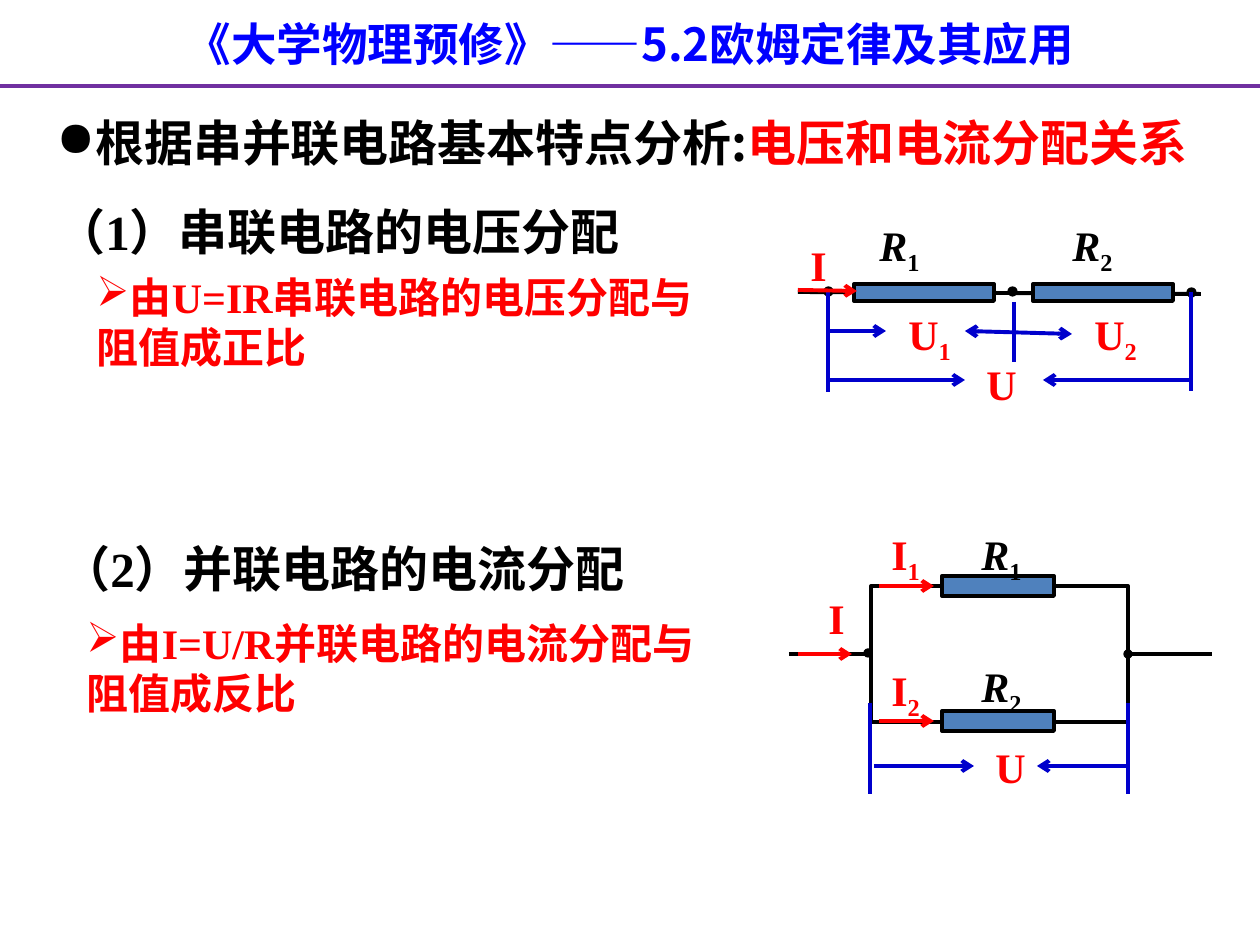
from lxml.etree import SubElement
from pptx import Presentation
from pptx.dml.color import RGBColor
from pptx.enum.shapes import MSO_CONNECTOR, MSO_SHAPE
from pptx.enum.text import PP_ALIGN
from pptx.oxml.ns import qn
from pptx.util import Pt

PX = 914400 // 126
BLACK = RGBColor(0, 0, 0)
RED = RGBColor(0xFF, 0, 0)
BLUE = RGBColor(0, 0, 0xFF)
NAVY = RGBColor(0, 0, 0xCC)
PURPLE = RGBColor(0x70, 0x30, 0xA0)
STEEL = RGBColor(0x4F, 0x81, 0xBD)
SANS, SERIF = "Noto Sans CJK SC", "Times New Roman"

TITLE = ((0, 10, 1260, 68), [("《大学物理预修》——5.2欧姆定律及其应用", BLUE)], 26, SANS)
# box, runs, size, font, bullet
BODY = [
    ((44, 195, 804, 72), [("（1）串联电路的电压分配", BLACK)], 28, SERIF, None),
    ((84, 265, 625, 115), [("由U=IR串联电路的电压分配与阻值成正比", RED)], 24, SERIF, "➢"),
    ((49, 532, 650, 72), [("（2）并联电路的电流分配", BLACK)], 28, SERIF, None),
    ((74, 611, 668, 115), [("由I=U/R并联电路的电流分配与阻值成反比", RED)], 24, SERIF, "➢"),
    ((44, 106, 1216, 72),
     [("根据串并联电路基本特点分析:", BLACK), ("电压和电流分配关系", RED)], 28, SANS, "●"),
]
SERIES = {
    "wires": [(798, 292, 1201, 294)],
    "resistors": [(854, 284, 140, 17), (1033, 284, 140, 17)],
    "nodes": [(824, 287, 9, 9), (1008, 287, 9, 9), (1187, 288, 9, 9)],
    "limits": [(828, 292, 828, 392), (1014, 302, 1014, 362), (1191, 292, 1191, 391)],
    "spans": [(827, 331, 886, 331), (827, 380, 965, 380), (1191, 380, 1043, 380)],
    "double_spans": [(965, 331, 1072, 334)],
    "currents": [(798, 290, 857, 291)],
    "labels": [("R", "1", 867, 213, 79), ("R", "2", 1060, 213, 79), ("U", "1", 896, 302, 106),
               ("U", "2", 1082, 302, 79), ("U", "", 974, 352, 59), ("I", "", 798, 233, 29)],
}
PARALLEL = {
    "loop": (871, 586, 257, 136),
    "leads": [(789, 654, 1), (1212, 654, 3)],
    "resistors": [(942, 576, 112, 20), (942, 711, 112, 20)],
    "nodes": [(864, 649, 8, 8), (1124, 650, 8, 8)],
    "limits": [(870, 703, 870, 794), (1128, 703, 1128, 794)],
    "spans": [(874, 766, 974, 766), (1128, 766, 1037, 766)],
    "currents": [(879, 586, 934, 586), (879, 721, 934, 721), (798, 654, 852, 654)],
    "labels": [("R", "1", 969, 522, 73), ("R", "2", 969, 654, 73), ("I", "1", 879, 522, 67),
               ("I", "2", 879, 658, 77), ("U", "", 983, 735, 54), ("I", "", 816, 586, 28)],
}


def emu(lengths):
    return [length * PX for length in lengths]


def add_text(shapes, box, runs, size, font, bullet=None, align=None):
    frame = shapes.add_textbox(*emu(box)).text_frame
    frame.word_wrap = True
    paragraph = frame.paragraphs[0]
    if align is not None:
        paragraph.alignment = align
    if bullet:
        properties = paragraph._p.get_or_add_pPr()
        properties.set("marL", "0")
        properties.set("indent", "0")
        SubElement(properties, qn("a:buChar")).set("char", bullet)
    paragraph.font.size = Pt(size)
    paragraph.font.bold = True
    paragraph.font.name = font
    colors = {color for _, color in runs}
    if len(colors) == 1:
        paragraph.font.color.rgb = runs[0][1]
    defaults = paragraph._p.pPr.find(qn("a:defRPr"))
    SubElement(defaults, qn("a:ea")).set("typeface", SANS)
    for words, color in runs:
        run = paragraph.add_run()
        run.text = words
        if len(colors) > 1:
            run.font.color.rgb = color
    return paragraph


def add_label(shapes, symbol, subscript, left, top, width):
    color = BLACK if symbol == "R" else RED
    runs = [(part, color) for part in (symbol, subscript) if part]
    paragraph = add_text(shapes, (left, top, width, 63), runs, 24, SERIF)
    if symbol == "R":
        paragraph.runs[0].font.italic = True
    if subscript:
        paragraph.runs[1]._r.get_or_add_rPr().set("baseline", "-25000")


def add_line(shapes, ends, color, *arrows):
    line = shapes.add_connector(MSO_CONNECTOR.STRAIGHT, *emu(ends))
    line.line.color.rgb = color
    line.line.width = Pt(2.25)
    for arrow in arrows:
        SubElement(line.line._get_or_add_ln(), qn(f"a:{arrow}")).set("type", "arrow")
    SubElement(line._element.spPr, qn("a:effectLst"))
    return line


def add_block(shapes, kind, box, fill=None, width=2.25):
    block = shapes.add_shape(kind, *emu(box))
    block.shadow.inherit = False
    if fill is None:
        block.fill.background()
    else:
        block.fill.solid()
        block.fill.fore_color.rgb = fill
    block.line.color.rgb = BLACK
    block.line.width = Pt(width)
    return block


def add_circuit(slide, circuit):
    shapes = slide.shapes.add_group_shape().shapes
    if "loop" in circuit:
        loop = add_block(shapes, MSO_SHAPE.RECTANGLE, circuit["loop"])
        for x, y, side in circuit["leads"]:
            add_line(shapes, (x, y, x, y), BLACK).end_connect(loop, side)
    for ends in circuit.get("wires", []):
        add_line(shapes, ends, BLACK)
    for box in circuit["resistors"]:
        add_block(shapes, MSO_SHAPE.RECTANGLE, box, STEEL)
    for box in circuit["nodes"]:
        add_block(shapes, MSO_SHAPE.OVAL, box, BLACK, 0.75)
    for part, color, arrows in (("limits", NAVY, ()), ("spans", NAVY, ("tailEnd",)),
                                ("double_spans", NAVY, ("headEnd", "tailEnd")),
                                ("currents", RED, ("tailEnd",))):
        for ends in circuit.get(part, []):
            add_line(shapes, ends, color, *arrows)
    for label in circuit["labels"]:
        add_label(shapes, *label)


def main():
    """Build the slide on voltage and current division."""
    deck = Presentation()
    deck.slide_width, deck.slide_height = emu((1260, 945))
    slide = deck.slides.add_slide(deck.slide_layouts[6])
    add_text(slide.shapes, *TITLE, align=PP_ALIGN.CENTER)
    add_line(slide.shapes, (0, 86, 1260, 86), PURPLE)
    for item in BODY:
        add_text(slide.shapes, *item)
    for circuit in (PARALLEL, SERIES):
        add_circuit(slide, circuit)
    deck.save("out.pptx")


if __name__ == "__main__":
    main()
